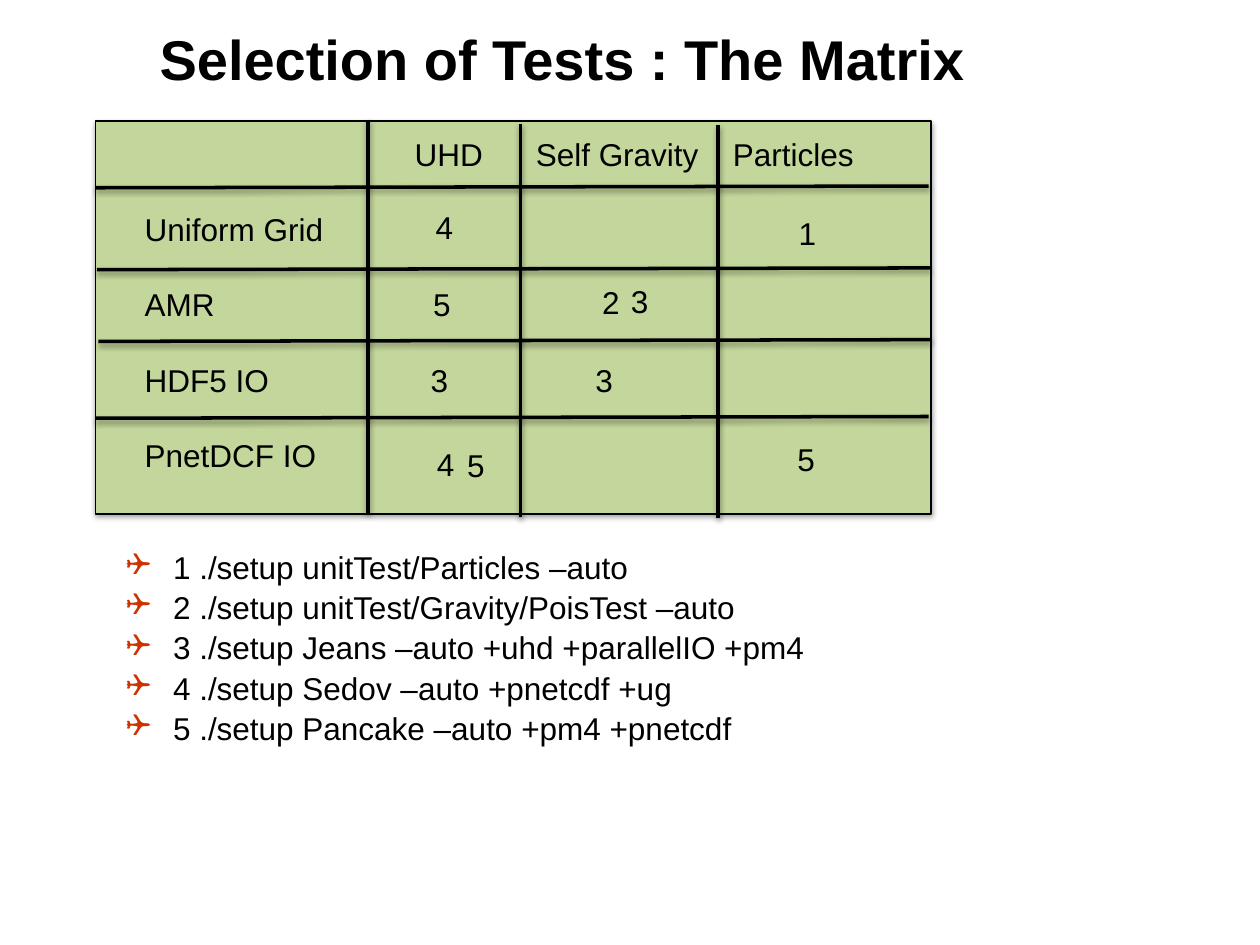
from lxml.etree import SubElement
from pptx import Presentation
from pptx.dml.color import RGBColor
from pptx.enum.shapes import MSO_CONNECTOR as Connector, MSO_SHAPE as Shape
from pptx.enum.text import MSO_ANCHOR as Anchor, PP_ALIGN as Align
from pptx.oxml.ns import qn
from pptx.util import Pt

BLACK, GREEN, RED = "000000", "C3D69B", "CC3300"
LABEL_TOP, LABEL_PITCH, LABEL_LEFT = 73.4, 43.1, 75.6
LABEL_WIDTH, MARK_WIDTH, TEXT_HEIGHT = 130, 24.5, 28.8
ROW_LABELS = ["Uniform Grid", "AMR", "HDF5 IO", "PnetDCF IO"]
COLUMN_LABELS = [("UHD", 229.9), ("Self Gravity", 299.1), ("Particles", 411.8)]
MARKS = [
    ("4", 241.9, 115.2), ("1", 449.3, 118.8),
    ("5", 240.5, 159.1), ("2", 337, 158.4), ("3", 353.5, 157.7),
    ("3", 239, 203), ("3", 333.2, 203),
    ("4", 242.6, 250.6), ("5", 259.9, 251.3), ("5", 448.6, 247.7),
]
ROW_RULES = [(54.7, 107.3), (55.4, 154.1), (56.2, 195.1), (54.7, 239)]
RULE_WIDTH, RULE_RISE = 475.9, 1
COLUMN_RULES = [(210.2, 68.4), (297.4, 70.6), (410.4, 71.3)]
RULE_HEIGHT = 224.6
COMMANDS = [
    "1 ./setup unitTest/Particles –auto",
    "2 ./setup unitTest/Gravity/PoisTest –auto",
    "3 ./setup Jeans –auto +uhd +parallelIO +pm4",
    "4 ./setup Sedov –auto +pnetcdf +ug",
    "5 ./setup Pancake –auto +pm4 +pnetcdf",
]


def color(value):
    """Return the colour for a hex string."""
    return RGBColor.from_string(value)


def format_runs(paragraph, size=18, bold=False):
    """Apply the slide's typeface to every run of a paragraph."""
    for run in paragraph.runs:
        run.font.name = "Arial"
        run.font.size = Pt(size)
        run.font.bold = bold
        run.font.color.rgb = color(BLACK)


def add_title(slide, text):
    """Place and format the title placeholder."""
    title = slide.shapes.title
    title.left, title.top, title.width, title.height = Pt(84), Pt(18), Pt(546), Pt(30)
    frame = title.text_frame
    frame.text = text
    frame.vertical_anchor = Anchor.MIDDLE
    frame.paragraphs[0].alignment = Align.LEFT
    format_runs(frame.paragraphs[0], 32, True)


def style_line(shape, width):
    """Give a shape a black line and a soft shadow straight below it."""
    shape.line.color.rgb = color(BLACK)
    shape.line.width = Pt(width)
    effects = SubElement(shape._element.spPr, qn("a:effectLst"))
    shadow = SubElement(effects, qn("a:outerShdw"), blurRad=str(Pt(3.1)),
                        dist=str(Pt(1.7)), dir="5400000", rotWithShape="0")
    shade = SubElement(shadow, qn("a:srgbClr"), val=BLACK)
    SubElement(shade, qn("a:alpha"), val="36000")


def add_panel(slide):
    """Add the green panel behind the matrix."""
    panel = slide.shapes.add_shape(Shape.RECTANGLE, Pt(54.7), Pt(69.1), Pt(477.4), Pt(224.6))
    panel.fill.solid()
    panel.fill.fore_color.rgb = color(GREEN)
    style_line(panel, 0.75)


def add_rule(slide, left, top, width, height):
    """Add one heavy rule of the matrix."""
    rule = slide.shapes.add_connector(Connector.STRAIGHT, Pt(left), Pt(top),
                                      Pt(left + width), Pt(top + height))
    style_line(rule, 2)


def add_text(slide, text, left, top, width):
    """Add a text box and return its frame."""
    frame = slide.shapes.add_textbox(Pt(left), Pt(top), Pt(width), Pt(TEXT_HEIGHT)).text_frame
    frame.word_wrap = True
    frame.text = text
    for paragraph in frame.paragraphs:
        format_runs(paragraph)
    return frame


def add_matrix(slide):
    """Add the matrix of tests by feature."""
    add_panel(slide)
    for left, top in ROW_RULES:
        add_rule(slide, left, top, RULE_WIDTH, -RULE_RISE)
    for left, top in COLUMN_RULES:
        add_rule(slide, left, top, 0, RULE_HEIGHT)
    for text, left in COLUMN_LABELS:
        add_text(slide, text, left, LABEL_TOP, LABEL_WIDTH)
    for row, text in enumerate(ROW_LABELS, 1):
        add_text(slide, text, LABEL_LEFT, LABEL_TOP + row * LABEL_PITCH, LABEL_WIDTH)
    for text, left, top in MARKS:
        add_text(slide, text, left, top, MARK_WIDTH)


def add_bullet(paragraph):
    """Give a paragraph a hanging red box bullet."""
    properties = paragraph._p.get_or_add_pPr()
    properties.set("marL", str(Pt(27)))
    properties.set("indent", str(Pt(-27)))
    SubElement(SubElement(properties, qn("a:buClr")), qn("a:srgbClr"), val=RED)
    SubElement(properties, qn("a:buFont"), typeface="Wingdings")
    SubElement(properties, qn("a:buChar"), char="❑")


def add_commands(slide):
    """Add the bulleted list of setup commands."""
    frame = add_text(slide, "\n".join(COMMANDS), 64.8, 311.8, 576)
    for paragraph in frame.paragraphs:
        paragraph.line_spacing = 0.9
        paragraph.space_before = Pt(3.6)
        add_bullet(paragraph)


def main():
    """Build and save the slide."""
    presentation = Presentation()
    presentation.slide_width, presentation.slide_height = Pt(720), Pt(540)
    slide = presentation.slides.add_slide(presentation.slide_layouts[5])
    add_title(slide, "Selection of Tests : The Matrix")
    add_matrix(slide)
    add_commands(slide)
    presentation.save("out.pptx")


if __name__ == "__main__":
    main()
